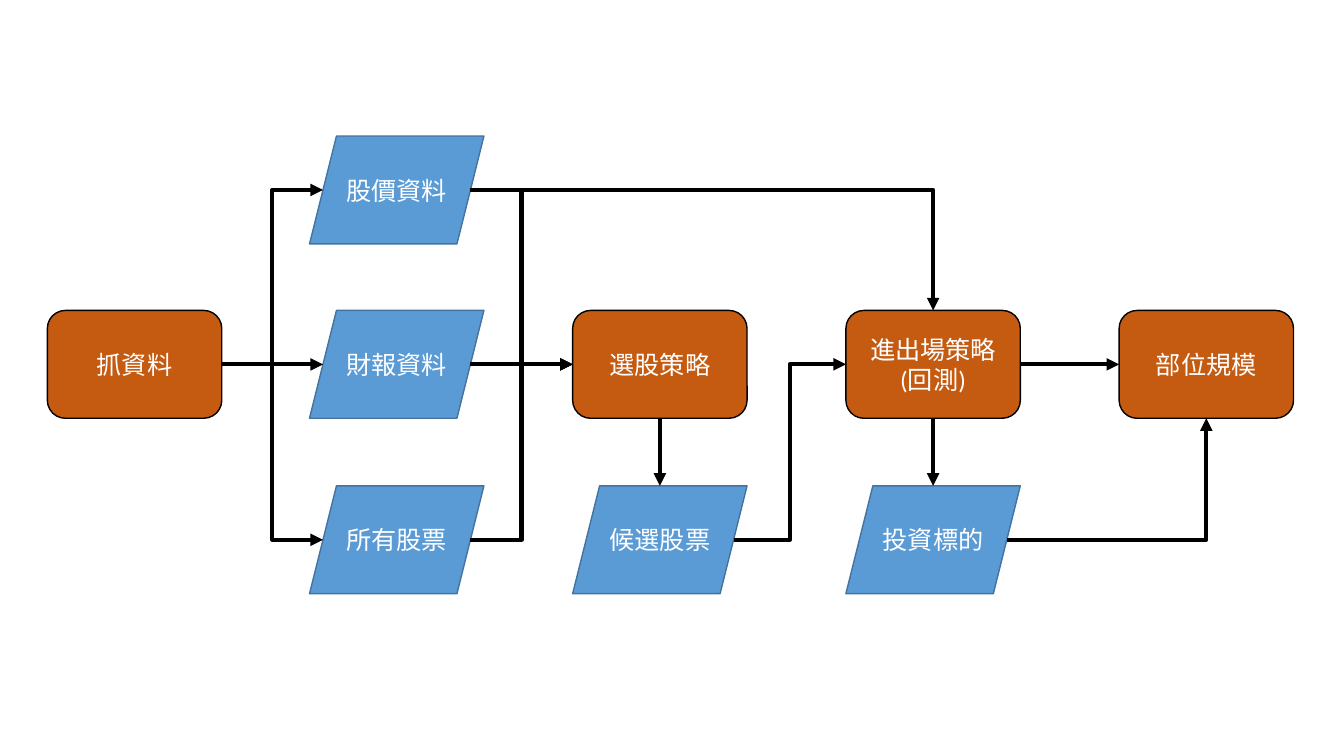
from lxml import etree
from pptx import Presentation
from pptx.dml.color import RGBColor
from pptx.enum.shapes import MSO_CONNECTOR, MSO_SHAPE
from pptx.enum.text import MSO_ANCHOR, PP_ALIGN
from pptx.oxml.ns import qn
from pptx.util import Inches, Pt

COLORS = {
    "process": "C55A11",
    "process_line": "000000",
    "data": "5B9BD5",
    "data_line": "43739E",
    "arrow": "000000",
    "text": "FFFFFF",
}
NODE_WIDTH, NODE_HEIGHT = 1.73, 1.07
COLUMNS = [0.47, 3.07, 5.68, 8.39, 11.1]
ROWS = [1.35, 3.08, 4.82]
SLANT = 0.25  # parallelogram slant as a share of its height
TOP, LEFT, BOTTOM, RIGHT = range(4)

# Name: (kind, column, row, lines of text)
NODES = {
    "fetch": ("process", 0, 1, "抓資料"),
    "prices": ("data", 1, 0, "股價資料"),
    "reports": ("data", 1, 1, "財報資料"),
    "stocks": ("data", 1, 2, "所有股票"),
    "selection": ("process", 2, 1, "選股策略"),
    "candidates": ("data", 2, 2, "候選股票"),
    "trading": ("process", 3, 1, "進出場策略\n(回測)"),
    "targets": ("data", 3, 2, "投資標的"),
    "sizing": ("process", 4, 1, "部位規模"),
}

# Start node, side, end node, side
ARROWS = [
    ("fetch", RIGHT, "prices", LEFT),
    ("fetch", RIGHT, "reports", LEFT),
    ("fetch", RIGHT, "stocks", LEFT),
    ("prices", RIGHT, "selection", LEFT),
    ("reports", RIGHT, "selection", LEFT),
    ("stocks", RIGHT, "selection", LEFT),
    ("prices", RIGHT, "trading", TOP),
    ("selection", BOTTOM, "candidates", TOP),
    ("candidates", RIGHT, "trading", LEFT),
    ("trading", BOTTOM, "targets", TOP),
    ("trading", RIGHT, "sizing", LEFT),
    ("targets", RIGHT, "sizing", BOTTOM),
]


def color(name):
    return RGBColor.from_string(COLORS[name])


def add_node(slide, kind, left, top, text):
    preset = MSO_SHAPE.ROUNDED_RECTANGLE if kind == "process" else MSO_SHAPE.PARALLELOGRAM
    shape = slide.shapes.add_shape(
        preset, Inches(left), Inches(top), Inches(NODE_WIDTH), Inches(NODE_HEIGHT)
    )
    shape.shadow.inherit = False
    shape.fill.solid()
    shape.fill.fore_color.rgb = color(kind)
    shape.line.color.rgb = color(kind + "_line")
    shape.line.width = Pt(1)

    text_frame = shape.text_frame
    text_frame.text = text
    text_frame.word_wrap = True
    text_frame.vertical_anchor = MSO_ANCHOR.MIDDLE
    for paragraph in text_frame.paragraphs:
        paragraph.alignment = PP_ALIGN.CENTER
        for run in paragraph.runs:
            run.font.name = "Calibri"
            run.font.size = Pt(18)
            run.font.color.rgb = color("text")
    return shape


def side_point(name, side):
    kind, column, row, _ = NODES[name]
    left, top = COLUMNS[column], ROWS[row]
    inset = SLANT * NODE_HEIGHT / 2 if kind == "data" else 0
    middle_x, middle_y = left + NODE_WIDTH / 2, top + NODE_HEIGHT / 2
    x, y = {
        TOP: (middle_x, top),
        LEFT: (left + inset, middle_y),
        BOTTOM: (middle_x, top + NODE_HEIGHT),
        RIGHT: (left + NODE_WIDTH - inset, middle_y),
    }[side]
    return Inches(x), Inches(y)


def add_arrow(slide, shapes, start, start_side, end, end_side):
    begin, finish = side_point(start, start_side), side_point(end, end_side)
    straight = begin[0] == finish[0] or begin[1] == finish[1]
    kind = MSO_CONNECTOR.STRAIGHT if straight else MSO_CONNECTOR.ELBOW
    connector = slide.shapes.add_connector(kind, *begin, *finish)
    connector.line.color.rgb = color("arrow")
    connector.line.width = Pt(3)
    properties = connector._element.spPr

    if straight:
        # Join the ends that meet a rectangle
        if NODES[start][0] == "process":
            connector.begin_connect(shapes[start], start_side)
        if NODES[end][0] == "process":
            connector.end_connect(shapes[end], end_side)
    elif end_side in (TOP, BOTTOM):
        # One corner: across, then up or down
        properties.find(qn("a:prstGeom")).set("prst", "bentConnector2")

    # Arrowhead, no shadow
    line = properties.find(qn("a:ln"))
    etree.SubElement(line, qn("a:tailEnd"), type="triangle")
    etree.SubElement(properties, qn("a:effectLst"))


def add_flowchart(slide):
    shapes = {
        name: add_node(slide, kind, COLUMNS[column], ROWS[row], text)
        for name, (kind, column, row, text) in NODES.items()
    }
    for arrow in ARROWS:
        add_arrow(slide, shapes, *arrow)


def main():
    presentation = Presentation()
    presentation.slide_width = Inches(13.33)
    presentation.slide_height = Inches(7.5)
    slide = presentation.slides.add_slide(presentation.slide_layouts[6])
    add_flowchart(slide)
    presentation.save("out.pptx")


if __name__ == "__main__":
    main()
